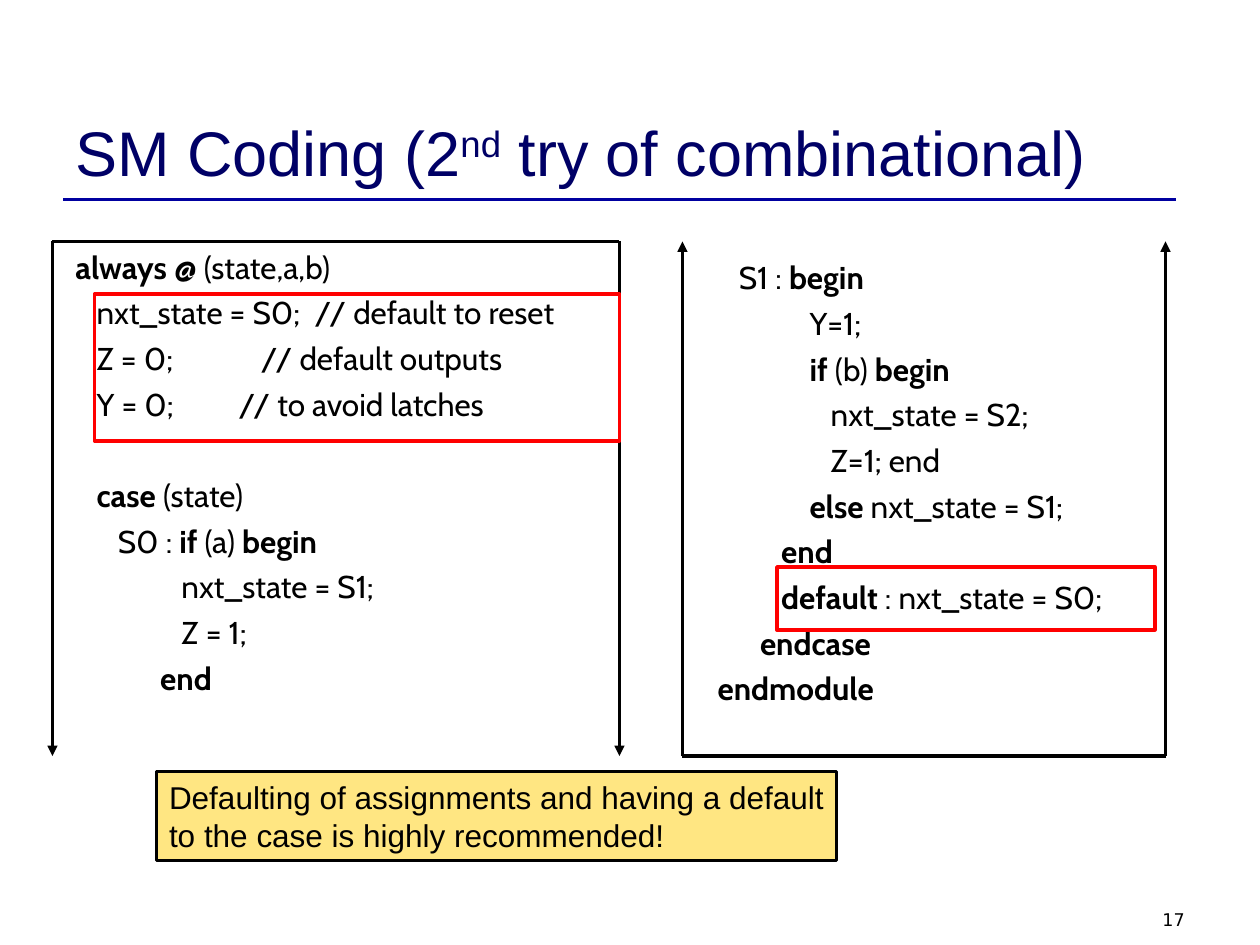
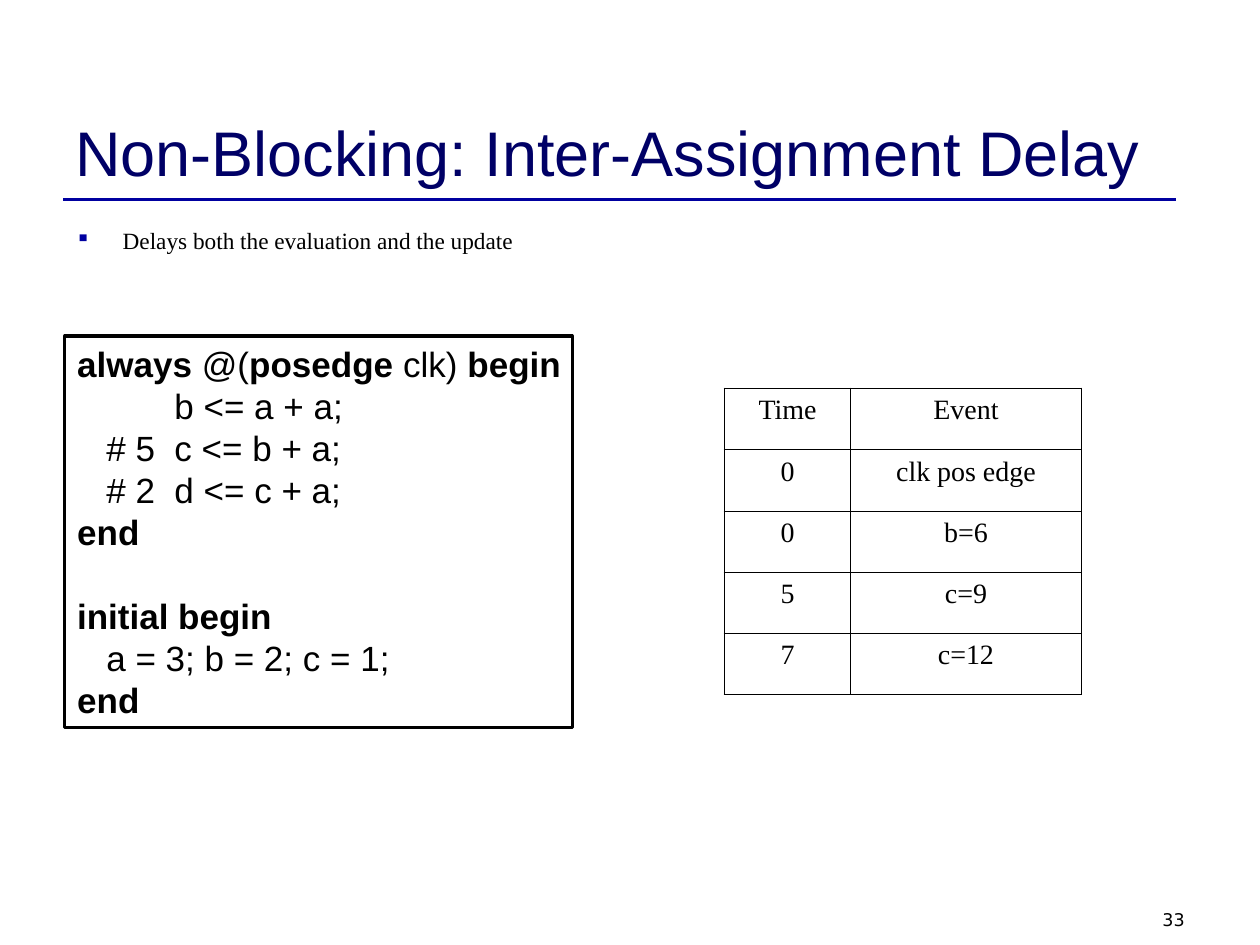
from lxml.etree import SubElement
from pptx import Presentation
from pptx.dml.color import RGBColor
from pptx.enum.shapes import MSO_CONNECTOR, MSO_SHAPE
from pptx.enum.text import MSO_ANCHOR, PP_ALIGN
from pptx.oxml.ns import qn
from pptx.util import Pt

COLORS = {
    "ink": "000000",
    "title": "000066",
    "accent": "0000A0",
    "highlight": "FF0000",
    "callout": "FFCC00",
}


def rgb(name):
    return RGBColor.from_string(COLORS[name])


def write(paragraph, text, font="Arial", size=18, color="ink", align=PP_ALIGN.LEFT,
          before=0, indent=0, hanging=0, bullet=None, comment="", gap=0):
    """Fill a paragraph; **text** is bold, ^text^ is superscript.

    A comment follows the text after one space that is widened by gap points.
    """
    def add_run(piece, bold=False, raised=False, spacing=0):
        run = paragraph.add_run()
        run.text = piece
        run.font.name = font
        run.font.size = Pt(size)
        run.font.bold = bold
        run.font.color.rgb = rgb(color)
        if raised:
            run.font._element.set("baseline", "30000")
        if spacing:
            run.font._element.set("spc", str(round(spacing * 100)))

    paragraph.alignment = align
    paragraph.space_before = Pt(before)
    for bold_index, part in enumerate(text.split("**")):
        for raised_index, piece in enumerate(part.split("^")):
            if piece:
                add_run(piece, bold_index % 2 == 1, raised_index % 2 == 1)
    if comment:
        add_run(" ", spacing=gap)
        add_run(comment)

    # Indents and bullet
    properties = paragraph._p.get_or_add_pPr()
    properties.set("marL", str(Pt(indent)))
    properties.set("indent", str(Pt(-hanging)))
    if bullet:
        bullet_color = SubElement(properties, qn("a:buClr"))
        SubElement(bullet_color, qn("a:srgbClr"), val=COLORS["accent"])
        SubElement(properties, qn("a:buSzPct"), val="90000")
        SubElement(properties, qn("a:buChar"), char=bullet)


class Deck:
    def __init__(self):
        self.presentation = Presentation()
        self.presentation.slide_width = Pt(720)
        self.presentation.slide_height = Pt(540)
        self.slide = None

    def add_slide(self, title, number):
        layout = self.presentation.slide_layouts[6]
        self.slide = self.presentation.slides.add_slide(layout)
        self.line(36, 114, 672, 114, color="accent", width=1.5)
        self.text(516, 516, 168, 18, [(number, {})],
                  font="DejaVu Sans", size=10, align=PP_ALIGN.RIGHT)
        self.text(36, 21.6, 648, 90, [(title, {})], anchor=MSO_ANCHOR.BOTTOM,
                  size=36, color="title")

    def fill_frame(self, frame, lines, anchor=MSO_ANCHOR.TOP, wrap=True, **style):
        frame.word_wrap = wrap
        frame.vertical_anchor = anchor
        for index, (text, options) in enumerate(lines):
            paragraph = frame.add_paragraph() if index else frame.paragraphs[0]
            write(paragraph, text, **{**style, **options})

    def text(self, left, top, width, height, lines, **style):
        box = self.slide.shapes.add_textbox(Pt(left), Pt(top), Pt(width), Pt(height))
        self.fill_frame(box.text_frame, lines, **style)

    def box(self, left, top, width, height, lines=(), color="ink", line_width=1.75,
            fill=None, opacity=100, **style):
        shape = self.slide.shapes.add_shape(
            MSO_SHAPE.RECTANGLE, Pt(left), Pt(top), Pt(width), Pt(height))
        shape.shadow.inherit = False
        shape.line.color.rgb = rgb(color)
        shape.line.width = Pt(line_width)
        if fill:
            shape.fill.solid()
            shape.fill.fore_color.rgb = rgb(fill)
            fill_color = shape._element.spPr.find(qn("a:solidFill"))[0]
            SubElement(fill_color, qn("a:alpha"), val=str(opacity * 1000))
        else:
            shape.fill.background()
        self.fill_frame(shape.text_frame, lines, **style)

    def line(self, x1, y1, x2, y2, color="ink", width=1.75, arrow=False):
        connector = self.slide.shapes.add_connector(
            MSO_CONNECTOR.STRAIGHT, Pt(x1), Pt(y1), Pt(x2), Pt(y2))
        connector.line.color.rgb = rgb(color)
        connector.line.width = Pt(width)
        if arrow:
            SubElement(connector.line._get_or_add_ln(), qn("a:tailEnd"), type="triangle")
        SubElement(connector._element.spPr, qn("a:effectLst"))

    def table(self, left, top, column_widths, row_height, rows, **style):
        row_count, column_count = len(rows), len(column_widths)
        table = self.slide.shapes.add_table(
            row_count, column_count, Pt(left), Pt(top),
            Pt(sum(column_widths)), Pt(row_height * row_count)).table
        table.first_row = table.horz_banding = False
        for column, width in zip(table.columns, column_widths):
            column.width = Pt(width)
        for row_index, values in enumerate(rows):
            table.rows[row_index].height = Pt(row_height)
            for column_index, value in enumerate(values):
                cell = table.cell(row_index, column_index)
                write(cell.text_frame.paragraphs[0], value, **style)
                outer_edges = {
                    "L": column_index == 0,
                    "R": column_index == column_count - 1,
                    "T": row_index == 0,
                    "B": row_index == row_count - 1,
                }
                self.cell_borders(cell, outer_edges)
                cell.fill.background()

    def cell_borders(self, cell, outer_edges):
        properties = cell._tc.get_or_add_tcPr()
        for side, is_outer in outer_edges.items():
            width = Pt(1.08 if is_outer else 0.45)
            border = SubElement(properties, qn(f"a:ln{side}"), w=str(width))
            solid = SubElement(border, qn("a:solidFill"))
            SubElement(solid, qn("a:srgbClr"), val=COLORS["ink"])


def add_state_machine_slide(deck):
    deck.add_slide("SM Coding (2^nd^ try of combinational)", "17")
    step = 4.04  # one column of code indentation
    code_style = {"font": "Cabin", "before": 4.5}

    # Code, first half
    deck.text(36, 138, 342, 290, [
        ("**always** @ (state,a,b)", {}),
        ("nxt_state = S0;",
         {"indent": 3 * step, "comment": "// default to reset", "gap": step}),
        ("Z = 0;", {"indent": 3 * step, "comment": "// default outputs", "gap": 46}),
        ("Y = 0;", {"indent": 3 * step, "comment": "// to avoid latches", "gap": 33}),
        ("**case** (state)", {"indent": 3 * step, "before": 30.5}),
        ("S0 : **if** (a) **begin**", {"indent": 6 * step}),
        ("nxt_state = S1;", {"indent": 15 * step}),
        ("Z = 1;", {"indent": 15 * step}),
        ("**end**", {"indent": 12 * step}),
    ], **code_style)

    # Code, second half
    second_half = [
        (3, "S1 : **begin**"),
        (13, "Y=1;"),
        (13, "**if** (b) **begin**"),
        (16, "nxt_state = S2;"),
        (16, "Z=1; end"),
        (13, "**else** nxt_state = S1;"),
        (9, "**end**"),
        (9, "**default** : nxt_state = S0;"),
        (6, "**endcase**"),
        (0, "**endmodule**"),
    ]
    deck.text(403, 144, 257, 290,
              [(text, {"indent": columns * step}) for columns, text in second_half],
              **code_style)

    # Brackets: the code runs off the first and into the second
    top, bottom = 138, 432
    for x in (30, 354):
        deck.line(x, top, x, bottom, arrow=True)
    deck.line(30, top, 354, top)
    for x in (390, 666):
        deck.line(x, bottom, x, top, arrow=True)
    deck.line(390, bottom, 666, bottom)

    # Highlights and advice
    deck.box(54, 168, 300, 84, color="highlight", line_width=2)
    deck.box(444, 324, 216, 36, color="highlight", line_width=2)
    deck.box(89.5, 441, 388.5, 50.5, [
        ("Defaulting of assignments and having a default", {}),
        ("to the case is highly recommended!", {}),
    ], fill="callout", opacity=49, wrap=False)


def add_delay_slide(deck):
    deck.add_slide("Non-Blocking: Inter-Assignment Delay", "33")
    deck.text(36, 126, 564, 42, [("Delays both the evaluation and the update", {})],
              font="Times New Roman", size=13.3, before=7,
              indent=27, hanging=27, bullet="▪")

    # Code
    delay_indent = {"indent": 16.7}
    deck.box(37, 192, 290, 223.5, [
        ("**always** @(**posedge** clk) **begin**", {}),
        ("b <= a + a;", {"indent": 55.6}),
        ("# 5  c <= b + a;", delay_indent),
        ("# 2  d <= c + a;", delay_indent),
        ("**end**", {}),
        ("**initial begin**", {"before": 24}),
        ("a = 3; b = 2; c = 1;", delay_indent),
        ("**end**", {}),
    ], size=20, wrap=False)

    # Order of events
    deck.table(414, 222, (72, 132), 35, [
        ("Time", "Event"),
        ("0", "clk pos edge"),
        ("0", "b=6"),
        ("5", "c=9"),
        ("7", "c=12"),
    ], font="Times New Roman", size=16, align=PP_ALIGN.CENTER, before=4)


def main():
    deck = Deck()
    add_state_machine_slide(deck)
    add_delay_slide(deck)
    deck.presentation.save("out.pptx")


if __name__ == "__main__":
    main()
